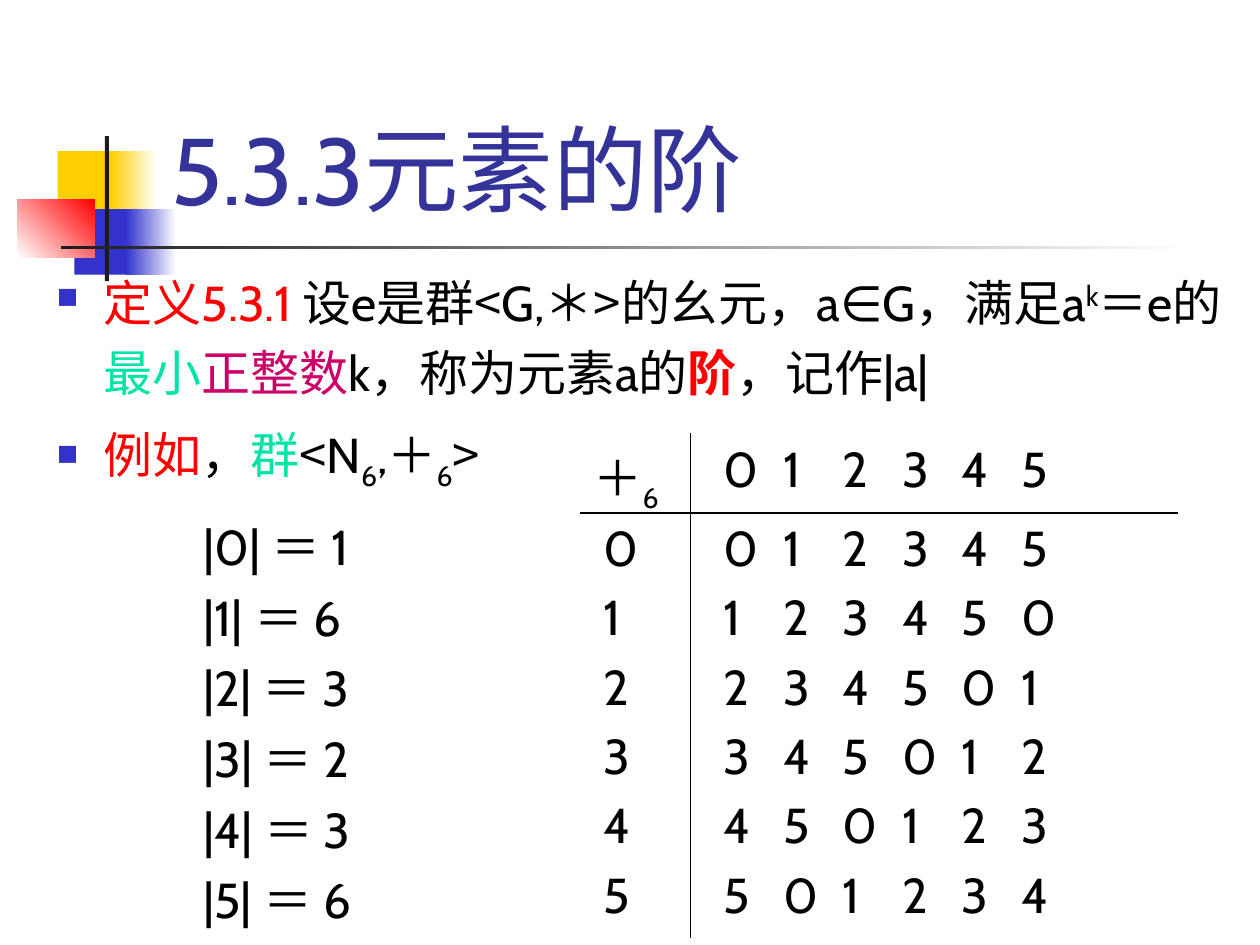
from lxml import etree
from pptx import Presentation
from pptx.dml.color import RGBColor
from pptx.enum.shapes import MSO_SHAPE
from pptx.enum.text import MSO_ANCHOR, MSO_AUTO_SIZE, PP_ALIGN
from pptx.oxml.ns import qn
from pptx.util import Pt

RECT = MSO_SHAPE.RECTANGLE
BOTTOM = MSO_ANCHOR.BOTTOM
NO_FIT = MSO_AUTO_SIZE.NONE
LEFT = PP_ALIGN.LEFT

LATIN, CJK = "Cabin", "Noto Sans CJK SC"
BLACK, WHITE, DARK = "000000", "FFFFFF", "1C1C1C"
RED, GREEN, PINK = "FF0000", "00E4A8", "CC0066"
YELLOW, BLUE, NAVY = "FFCF01", "3333CC", "333399"
SIZE, DIGIT_GAP = 28, 34
SUPER, SUB = 30000, -25000
ORDER = 6

DECORATION = [
    (33, 86.4, 34.5, 37.5, [YELLOW], 0),
    (63.4, 86.4, 26, 37.5, [YELLOW, WHITE], 0),
    (42.5, 119.5, 33, 37.5, [BLUE], 0),
    (72, 119.5, 28.8, 37.5, [BLUE, WHITE], 0),
    (10, 113.8, 44, 33.2, [WHITE, RED], 45),
    (60, 77.8, 2.2, 82.8, [DARK], 0),
    (34.6, 140.4, 648, 2.2, [DARK, WHITE], 0),
]
DEFINITION = [
    ("定义5.3.1 ", RED), ("设e是群", BLACK), ("<", BLACK, CJK),
    ("G,＊", BLACK), (">", BLACK, CJK), ("的幺元，a∈G，满足a", BLACK),
    ("k", BLACK, LATIN, SUPER), ("＝e的", BLACK), ("最小", GREEN),
    ("正整数", PINK), ("k，称为元素a的", BLACK),
    ("阶", RED, LATIN, 0, True), ("，记作|a|", BLACK),
]
EXAMPLE = [
    ("例如", RED), ("，", BLACK), ("群", GREEN), ("<", BLACK, CJK),
    ("N", BLACK), ("6", BLACK, LATIN, SUB), (",＋", BLACK),
    ("6", BLACK, LATIN, SUB), (">", BLACK, CJK),
]
PLUS_SIX = [("＋", BLACK), ("6", BLACK, LATIN, SUB)]


def color(value):
    """Return the colour of a hex string."""
    return RGBColor.from_string(value)


def add_run(p, text, fill=BLACK, font=LATIN, baseline=0, bold=False, size=SIZE):
    """Append a formatted run to a paragraph."""
    r = p.add_run()
    r.text = text
    r.font.name = font
    r.font.size = Pt(size)
    r.font.bold = bold
    r.font.color.rgb = color(fill)
    rPr = r._r.get_or_add_rPr()
    etree.SubElement(rPr, qn("a:ea"), typeface=CJK)
    if baseline:
        rPr.set("baseline", str(baseline))


def add_bullet(p):
    """Give a paragraph a hanging square bullet."""
    pPr = p._p.get_or_add_pPr()
    pPr.set("marL", str(Pt(27)))
    pPr.set("indent", str(-Pt(27)))
    buClr = etree.SubElement(pPr, qn("a:buClr"))
    etree.SubElement(buClr, qn("a:srgbClr"), val=BLUE)
    etree.SubElement(pPr, qn("a:buSzPct"), val="60000")
    etree.SubElement(pPr, qn("a:buChar"), char="■")


def add_tabs(p):
    """Set evenly spaced tab stops for a row of digits."""
    tabs = etree.SubElement(p._p.get_or_add_pPr(), qn("a:tabLst"))
    for i in range(1, ORDER):
        etree.SubElement(tabs, qn("a:tab"), pos=str(Pt(DIGIT_GAP * i)), algn="l")


def fill_text(tf, lines, decorate=None, line_spacing=None, gap=0):
    """Write lines of runs into a text frame as paragraphs."""
    for i, runs in enumerate(lines):
        p = tf.add_paragraph() if i else tf.paragraphs[0]
        if decorate:
            decorate(p)
        if line_spacing:
            p.line_spacing = line_spacing
        p.space_before = Pt(gap if i else 0)
        for run in runs:
            add_run(p, *run)


def add_block(s, left, top, width, height, colors, angle):
    """Add a plain or gradient rectangle."""
    sp = s.shapes.add_shape(RECT, Pt(left), Pt(top), Pt(width), Pt(height))
    sp.shadow.inherit = False
    sp.line.fill.background()
    if len(colors) == 1:
        sp.fill.solid()
        sp.fill.fore_color.rgb = color(colors[0])
        return
    sp.fill.gradient()
    sp.fill.gradient_angle = angle
    for stop, value in zip(sp.fill.gradient_stops, colors):
        stop.color.rgb = color(value)


def add_title(s, text):
    """Place and format the title placeholder."""
    sp = s.shapes.title
    sp.left, sp.top, sp.width, sp.height = Pt(90.7), Pt(16.6), Pt(613.4), Pt(115.2)
    tf = sp.text_frame
    tf.auto_size = NO_FIT
    tf.vertical_anchor = BOTTOM
    p = tf.paragraphs[0]
    p.alignment = LEFT
    add_run(p, text, NAVY, size=54)


def add_text(s, left, top, width, height, lines, margin=7.2, **style):
    """Add a wrapping text box."""
    sp = s.shapes.add_textbox(Pt(left), Pt(top), Pt(width), Pt(height))
    tf = sp.text_frame
    tf.word_wrap = True
    tf.margin_left = Pt(margin)
    fill_text(tf, lines, **style)


def fill_cell(cell, lines, edges, margin, decorate=None):
    """Write a table cell and draw its black edges."""
    cell.margin_left = Pt(margin)
    fill_text(cell.text_frame, lines, decorate, gap=5.6)
    tcPr = cell._tc.get_or_add_tcPr()
    for edge in edges:
        ln = etree.SubElement(tcPr, qn(f"a:ln{edge}"), w=str(Pt(1)))
        fill = etree.SubElement(ln, qn("a:solidFill"))
        etree.SubElement(fill, qn("a:srgbClr"), val=BLACK)
    cell.fill.background()


def add_operation_table(s):
    """Add the table of addition modulo the group order."""
    table = s.shapes.add_table(2, 2, Pt(332), Pt(247.7), Pt(340.5), Pt(284)).table
    table.first_row = table.horz_banding = False
    for col, width in zip(table.columns, (62.5, 278)):
        col.width = Pt(width)
    for row, height in zip(table.rows, (41, 243)):
        row.height = Pt(height)
    elements = range(ORDER)
    sums = [[("\t".join(str((a + b) % ORDER) for b in elements),)] for a in elements]
    labels = [[(str(a),)] for a in elements]
    fill_cell(table.cell(0, 0), [PLUS_SIX], "RB", 7.2)
    fill_cell(table.cell(0, 1), sums[:1], "LB", 19, add_tabs)
    fill_cell(table.cell(1, 0), labels, "RT", 13)
    fill_cell(table.cell(1, 1), sums, "LT", 19, add_tabs)


def main():
    """Build the slide and save it."""
    prs = Presentation()
    prs.slide_width, prs.slide_height = Pt(720), Pt(540)
    s = prs.slides.add_slide(prs.slide_layouts[5])
    for block in DECORATION:
        add_block(s, *block)
    add_title(s, "5.3.3元素的阶")
    add_text(s, 25.2, 145.4, 694.8, 394.6, [DEFINITION, EXAMPLE],
             decorate=add_bullet, line_spacing=1.2, gap=5.6)
    add_operation_table(s)
    orders = [[(f"|{a}| ＝ {k}",)] for a, k in enumerate((1, 6, 3, 2, 3, 6))]
    add_text(s, 97.2, 285, 183, 250, orders, margin=19, line_spacing=1.2)
    prs.save("out.pptx")


if __name__ == "__main__":
    main()
